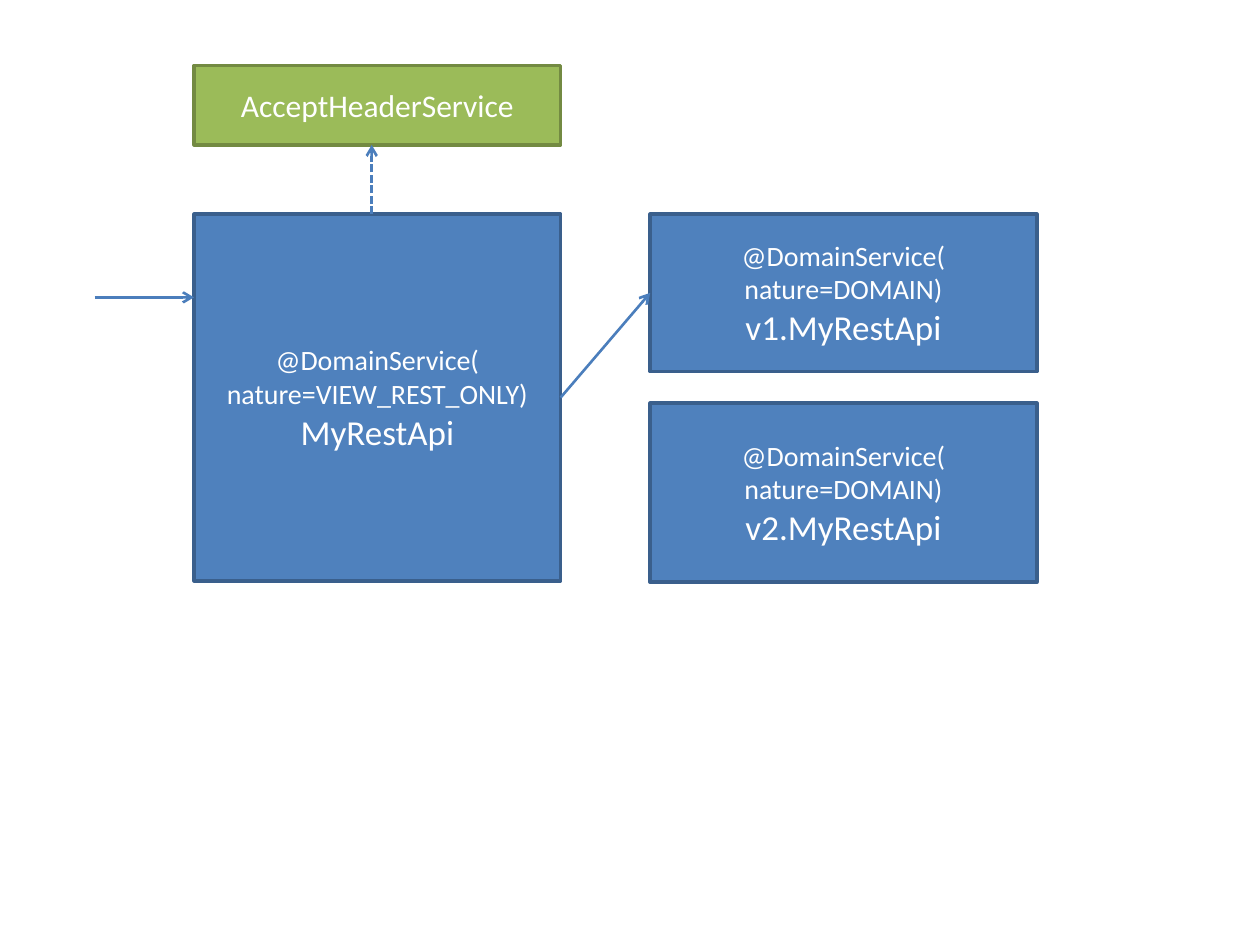
from copy import deepcopy

from pptx import Presentation
from pptx import util as u
from pptx.dml.color import RGBColor
from pptx.enum import dml, shapes, text
from pptx.oxml.ns import qn
from lxml import etree

THEME = {
    "font": "Calibri",
    "ink": "FFFFFF",
    "blue": ("4F81BD", "3A5F8C"),
    "green": ("9BBB59", "738A42"),
    "arrow": "4B7EBC",
    "note": 16, "name": 20, "label": 18,
    "edge": 2, "wire": 1.5,
}

# Column left and width, shared by the boxes stacked in it
LEFT, RIGHT = (1.54, 2.91), (5.16, 3.07)

# key: column, top, height, colour, [(text, size)]
BOXES = {
    "api": (LEFT, 1.7, 2.91, "blue", [
        ("@DomainService(\vnature=VIEW_REST_ONLY)", "note"),
        ("MyRestApi", "name")]),
    "v1": (RIGHT, 1.7, 1.25, "blue", [
        ("@DomainService(\vnature=DOMAIN)", "note"),
        ("v1.MyRestApi", "name")]),
    "v2": (RIGHT, 3.2, 1.42, "blue", [
        ("@DomainService(\vnature=DOMAIN)", "note"),
        ("v2.MyRestApi", "name")]),
    "accept": (LEFT, 0.52, 0.63, "green", [
        ("AcceptHeaderService", "label")]),
}

# start, end, dashed; an end is a point or a (box, side) joint
WIRES = [
    ((0.75, 2.36), (1.54, 2.36), False),
    (("api", 3), ("v1", 1), False),
    ((2.95, 1.7), (2.95, 1.15), True),
]


def rgb(code):
    return RGBColor.from_string(code)


def write(para, words, size, color=THEME["ink"], align=text.PP_ALIGN.CENTER):
    """Fill a paragraph; line breaks take the size of its runs."""
    para.text = words
    para.alignment = align
    for run in para.runs:
        run.font.name = THEME["font"]
        run.font.size = u.Pt(size)
        run.font.color.rgb = rgb(color)
    for br in para._p.findall(qn("a:br")):
        br.append(deepcopy(para.runs[0]._r.rPr))


def add_box(slide, col, top, high, tone, lines):
    left, wide = col
    box = slide.shapes.add_shape(
        shapes.MSO_SHAPE.RECTANGLE,
        *map(u.Inches, (left, top, wide, high)))
    fill, edge = THEME[tone]
    box.shadow.inherit = False
    box.fill.solid()
    box.fill.fore_color.rgb = rgb(fill)
    box.line.color.rgb = rgb(edge)
    box.line.width = u.Pt(THEME["edge"])
    frame = box.text_frame
    frame.word_wrap = True
    frame.vertical_anchor = text.MSO_ANCHOR.MIDDLE
    for i, (words, size) in enumerate(lines):
        para = frame.add_paragraph() if i else frame.paragraphs[0]
        write(para, words, THEME[size])
    return box


def add_wire(slide, boxes, start, end, dashed):
    wire = slide.shapes.add_connector(shapes.MSO_CONNECTOR.STRAIGHT, 0, 0, 0, 0)
    if start[0] in boxes:
        wire.begin_connect(boxes[start[0]], start[1])
    else:
        wire.begin_x, wire.begin_y = map(u.Inches, start)
    if end[0] in boxes:
        wire.end_connect(boxes[end[0]], end[1])
    else:
        wire.end_x, wire.end_y = map(u.Inches, end)
    wire.line.color.rgb = rgb(THEME["arrow"])
    wire.line.width = u.Pt(THEME["wire"])
    if dashed:
        wire.line.dash_style = dml.MSO_LINE.SQUARE_DOT
    props = wire._element.spPr
    etree.SubElement(props.find(qn("a:ln")), qn("a:tailEnd"), type="arrow")
    etree.SubElement(props, qn("a:effectLst"))


def main():
    deck = Presentation()
    deck.slide_width, deck.slide_height = u.Inches(10), u.Inches(7.5)
    slide = deck.slides.add_slide(deck.slide_layouts[6])
    boxes = {key: add_box(slide, *box) for key, box in BOXES.items()}
    for wire in WIRES:
        add_wire(slide, boxes, *wire)
    deck.save("out.pptx")


if __name__ == "__main__":
    main()
